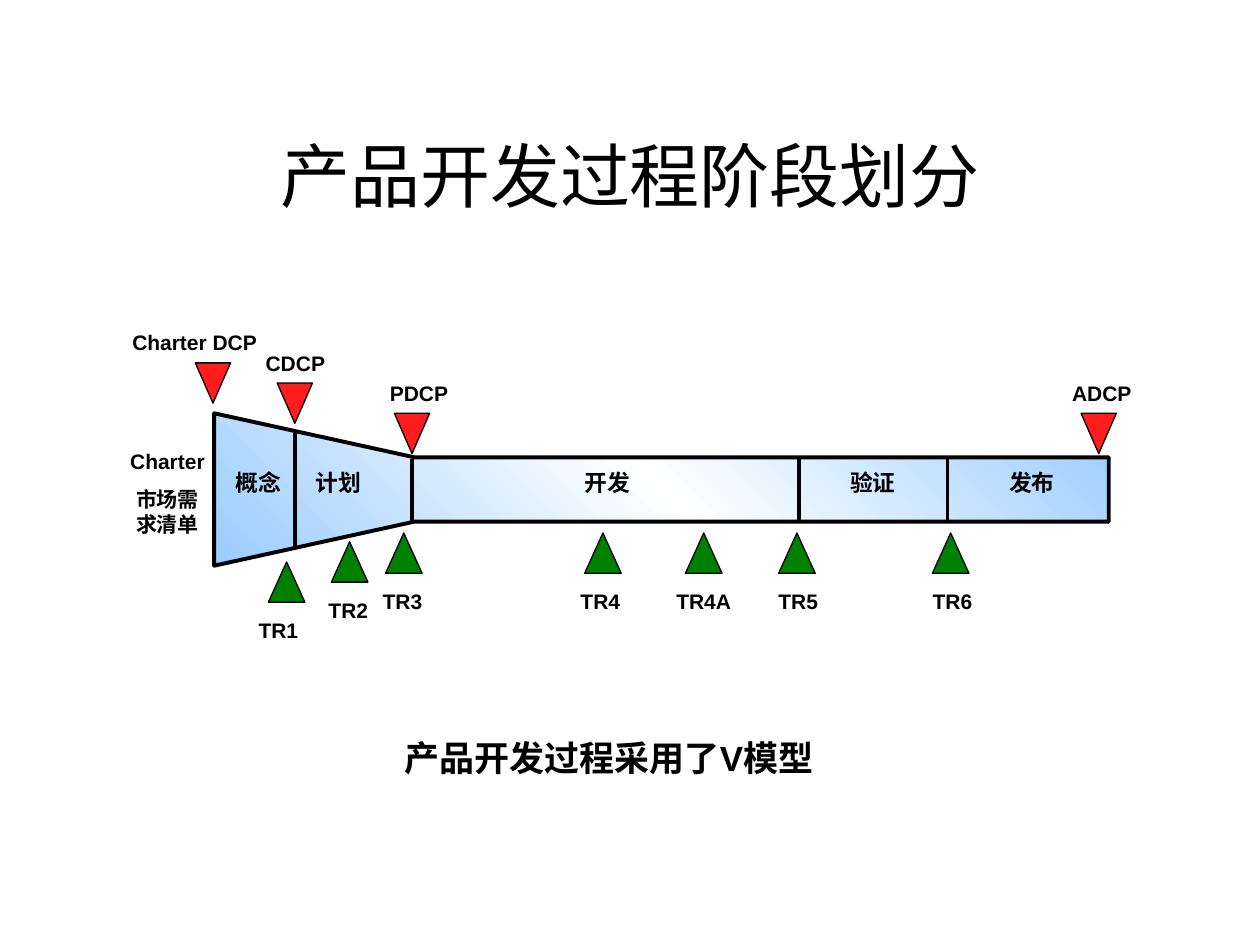
from copy import deepcopy

from pptx import Presentation
from pptx.dml.color import RGBColor
from pptx.enum.shapes import MSO_CONNECTOR, MSO_SHAPE
from pptx.enum.text import MSO_ANCHOR, PP_ALIGN
from pptx.oxml.ns import qn
from pptx.util import Inches, Pt
from lxml import etree

LEFT, CENTER = PP_ALIGN.LEFT, PP_ALIGN.CENTER
TOP, MIDDLE = MSO_ANCHOR.TOP, MSO_ANCHOR.MIDDLE
TRIANGLE, STRAIGHT = MSO_SHAPE.ISOSCELES_TRIANGLE, MSO_CONNECTOR.STRAIGHT

FONT = "Arial"
BLACK, RED, GREEN = "000000", "FF1D1D", "008000"
GRADIENT = [(0, "99CCFF"), (0.5, "FFFFFF"), (1, "99CCFF")]

TITLE = "产品开发过程阶段划分"
SUMMARY = "产品开发过程采用了V模型"
INPUTS = ["Charter", "市场需求清单"]

FUNNEL = [(1.7, 3.28), (3.29, 3.63), (8.8, 3.63), (8.8, 4.14), (3.29, 4.14), (1.7, 4.49)]
DIVIDERS = [(2.34, 3.44, 4.36), (3.27, 3.64, 4.14), (6.34, 3.63, 4.14), (7.52, 3.63, 4.14)]
STAGE_TOP, STAGE_HEIGHT = 3.67, 0.32
STAGES = [("概念", 1.77, 0.64), ("计划", 2.41, 0.57), ("开发", 4.54, 0.62),
          ("验证", 6.65, 0.79), ("发布", 7.91, 0.79)]

MARKER_HEIGHT, LABEL_HEIGHT = 0.32, 0.3
DECISIONS = [
    ("Charter DCP", 1.55, 2.88, 0.9, 1.29),
    ("CDCP", 2.2, 3.04, 1.93, 0.83),
    ("PDCP", 3.13, 3.28, 2.87, 0.91),
    ("ADCP", 8.58, 3.28, 8.31, 0.87),
]
REVIEWS = [
    ("TR1", 2.13, 4.46, 1.93, 0.56),
    ("TR2", 2.63, 4.3, 2.48, 0.57),
    ("TR3", 3.06, 4.23, 2.91, 0.57),
    ("TR4", 4.64, 4.23, 4.45, 0.63),
    ("TR4A", 5.44, 4.23, 5.08, 1.01),
    ("TR5", 6.18, 4.23, 6.01, 0.65),
    ("TR6", 7.4, 4.23, 7.28, 0.56),
]


def color(value):
    return RGBColor.from_string(value)


def outline(shape, width):
    shape.line.color.rgb = color(BLACK)
    shape.line.width = Pt(width)


def add_text(page, lines, left, top, width, height, size,
             bold=True, align=LEFT, anchor=TOP, before=0):
    box = page.shapes.add_textbox(*map(Inches, (left, top, width, height)))
    frame = box.text_frame
    frame.word_wrap = True
    frame.vertical_anchor = anchor
    frame.text = "\n".join(lines)
    for para in frame.paragraphs:
        para.alignment = align
        para.space_before = Pt(before)
        for span in para.runs:
            span.font.name = FONT
            span.font.size = Pt(size)
            span.font.bold = bold
            span.font.color.rgb = color(BLACK)


def add_label(page, lines, left, top, width, height=LABEL_HEIGHT):
    add_text(page, lines, left, top, width, height, 12, align=CENTER, before=7.5)


def add_marker(page, left, top, width, fill, rotation=0):
    marker = page.shapes.add_shape(
        TRIANGLE, *map(Inches, (left, top, width, MARKER_HEIGHT)))
    marker.rotation = rotation
    marker.shadow.inherit = False
    marker.fill.solid()
    marker.fill.fore_color.rgb = color(fill)
    outline(marker, 0.75)


def add_funnel(page):
    points = [(Inches(x), Inches(y)) for x, y in FUNNEL]
    builder = page.shapes.build_freeform(*points[0])
    builder.add_line_segments(points[1:], close=True)
    funnel = builder.convert_to_shape()
    funnel.shadow.inherit = False
    funnel.fill.gradient()
    funnel.fill.gradient_angle = 45
    stop_list = funnel.element.spPr.find(".//" + qn("a:gsLst"))
    stop_list.append(deepcopy(stop_list[0]))
    for stop, (position, value) in zip(funnel.fill.gradient_stops, GRADIENT):
        stop.position = position
        stop.color.rgb = color(value)
    outline(funnel, 2.25)


def add_divider(page, x, top, bottom):
    divider = page.shapes.add_connector(STRAIGHT, *map(Inches, (x, top, x, bottom)))
    outline(divider, 2.25)
    etree.SubElement(divider.element.spPr, qn("a:effectLst"))


def main():
    deck = Presentation()
    deck.slide_width, deck.slide_height = Inches(10), Inches(7.5)
    page = deck.slides.add_slide(deck.slide_layouts[6])

    add_text(page, [TITLE], 0, 0.99, 10, 0.79, 40, bold=False, align=CENTER, anchor=MIDDLE)
    add_text(page, [SUMMARY], 3.11, 5.8, 3.47, 0.77, 20)
    add_funnel(page)
    for divider in DIVIDERS:
        add_divider(page, *divider)
    for name, left, width in STAGES:
        add_text(page, [name], left, STAGE_TOP, width, STAGE_HEIGHT, 13)
    add_label(page, INPUTS, 0.9, 3.51, 0.86, 0.81)

    for name, left, top, label_left, label_width in DECISIONS:
        add_marker(page, left, top, 0.28, RED, rotation=180)
        add_label(page, [name], label_left, top - 0.31, label_width)
    for name, left, top, label_left, label_width in REVIEWS:
        add_marker(page, left, top, 0.29, GREEN)
        add_label(page, [name], label_left, top + 0.39, label_width)

    deck.save("out.pptx")


if __name__ == "__main__":
    main()
